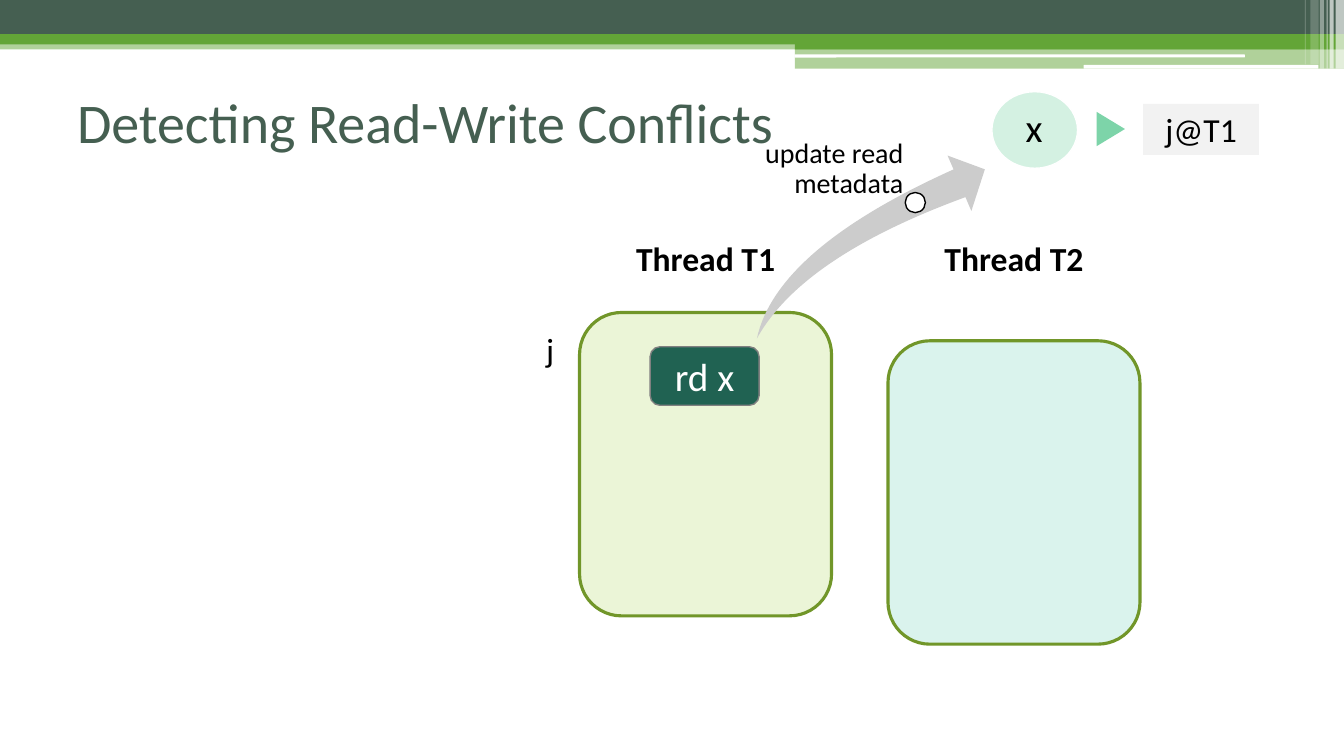
import pptx
import pptx.util
import pptx.dml.color
import pptx.enum.shapes
import pptx.enum.text
import pptx.oxml.ns
import lxml.etree

Pt = pptx.util.Pt
KIND = pptx.enum.shapes.MSO_SHAPE
ALIGN = pptx.enum.text.PP_ALIGN
ANCHOR = pptx.enum.text.MSO_ANCHOR
HUE = {
    "slate": "455F51", "green": "63A537", "white": "FFFFFF", "black": "000000",
    "lime": "EBF5D7", "aqua": "DAF3ED", "olive": "719629", "teal": "206252",
    "gray": "808080", "arrow": "CCCCCC", "mint": "D4F1E2", "jade": "7DD4A9",
    "pale": "F2F2F2",
}


def color(name):
    return pptx.dml.color.RGBColor.from_string(HUE[name])


def draw(slide, kind, box, fill, line=None, width=1, alpha=None, turn=0):
    shape = slide.shapes.add_shape(kind, *[Pt(v) for v in box])
    shape.shadow.inherit = False
    shape.rotation = turn
    shape.fill.solid()
    shape.fill.fore_color.rgb = color(fill)
    if alpha is not None:
        tone = shape.fill._xPr.find(".//" + pptx.oxml.ns.qn("a:srgbClr"))
        lxml.etree.SubElement(tone, pptx.oxml.ns.qn("a:alpha"), val=str(alpha * 1000))
    if line:
        shape.line.color.rgb = color(line)
        shape.line.width = Pt(width)
    else:
        shape.line.fill.background()
    return shape


def write(shape, text, size=24, tint="black", bold=False, align=ALIGN.LEFT,
          anchor=ANCHOR.TOP, inset=(7.2, 3.6, 7.2, 3.6), wrap=True, space=None):
    frame = shape.text_frame
    frame.word_wrap = wrap
    frame.vertical_anchor = anchor
    (frame.margin_left, frame.margin_top,
     frame.margin_right, frame.margin_bottom) = [Pt(v) for v in inset]
    para = frame.paragraphs[0]
    para.alignment = align
    para.line_spacing = space
    run = para.add_run()
    run.text = text
    run.font.name = "Calibri"
    run.font.size = Pt(size)
    run.font.bold = bold
    run.font.color.rgb = color(tint)


def label(slide, box, text, **style):
    write(slide.shapes.add_textbox(*[Pt(v) for v in box]), text, **style)


def banner(slide, x, y, w):
    # Colour bands; the lower pair covers the right part
    half = x + 567.8
    bands = [
        (x, 28.8, w, 6.5, "green", 50), (x, 0, w, 24.5, "slate", None),
        (x, 24.5, w, 7.2, "green", None),
        (half, 28.1, w - 567.8, 7.2, "green", None),
        (half, 34.8, w - 567.8, 14.2, "green", 50),
    ]
    for left, top, wide, high, fill, alpha in bands:
        draw(slide, KIND.RECTANGLE, (left, y + top, wide, high), fill, alpha=alpha)
    # White rules
    for left, top, wide, high in [(567.4, 38.9, 321.8, 2.2), (774, 46.4, 167.8, 2.6)]:
        draw(slide, KIND.ROUNDED_RECTANGLE, (x + left, y + top, wide, high), "white")
    # Fading stripes, measured from the right edge
    for back, wide, high, alpha in [(6, 6, 49, 65), (10.2, 2.9, 49, 65),
                                    (12.4, 0.7, 49, 60), (17.2, 2.9, 49, 40),
                                    (24, 6, 46, 20), (28, 0.7, 46, 30)]:
        draw(slide, KIND.RECTANGLE, (x + w - back, y, wide, high), "white", alpha=alpha)


def thread(slide, x, y, name, fill, drop):
    # Heading above a rounded panel, lowered by drop
    draw(slide, KIND.ROUNDED_RECTANGLE, (x, y + drop, 180, 216.7), fill, "olive", 2.25)
    label(slide, (x + 5, y, 170, 36), name, bold=True, align=ALIGN.CENTER)


def access(slide, x, y):
    # Read operation and its clock
    step = draw(slide, KIND.ROUNDED_RECTANGLE, (x + 50.4, y + 24.5, 77.8, 41.8), "teal", "gray")
    write(step, "rd x", size=28, tint="white", align=ALIGN.CENTER, anchor=ANCHOR.MIDDLE)
    label(slide, (x - 31, y + 7.9, 21.6, 37.4), "j", wrap=False)


def update(slide, x, y):
    # Swoosh with its marker and caption
    swoosh = draw(slide, KIND.SWOOSH_ARROW, (x, y, 190.8, 85.7), "arrow", turn=343.2)
    swoosh.adjustments[0] = swoosh.adjustments[1] = 0.25
    draw(slide, KIND.OVAL, (x + 122.4, y + 7.2, 14.4, 14.4), "white", "black")
    label(slide, (x + 10.8, y - 31, 117.4, 71.3), "update read metadata", size=20,
          align=ALIGN.RIGHT, inset=(0, 0, 7.2, 0), space=0.9)


def state(slide, x, y):
    # Variable, pointer and metadata
    draw(slide, KIND.OVAL, (x, y, 61.2, 54.7), "mint", "white")
    label(slide, (x + 8.6, y + 7.9, 43.2, 38.2), "x", size=28, align=ALIGN.CENTER,
          anchor=ANCHOR.MIDDLE, inset=(2.9,) * 4, space=0.9)
    draw(slide, KIND.ISOSCELES_TRIANGLE, (x + 72.7, y + 16.6, 24.5, 20.2), "jade", turn=90)
    meta = draw(slide, KIND.RECTANGLE, (x + 108, y + 8.7, 82.8, 36.4), "pale")
    write(meta, "j@T1", align=ALIGN.CENTER)


def main():
    deck = pptx.Presentation()
    deck.slide_width, deck.slide_height = Pt(960), Pt(540)
    slide = deck.slides.add_slide(deck.slide_layouts[6])
    banner(slide, 0, 0, 960)
    label(slide, (48, 44.6, 864, 84.2), "Detecting Read-Write Conflicts", size=40,
          tint="slate", anchor=ANCHOR.MIDDLE)
    thread(slide, 414, 166.3, "Thread T1", "lime", 56.9)
    access(slide, 414, 223.2)
    thread(slide, 634.3, 166.3, "Thread T2", "aqua", 77.1)
    update(slide, 524.2, 130.3)
    state(slide, 708.5, 65.5)
    deck.save("out.pptx")


if __name__ == "__main__":
    main()
